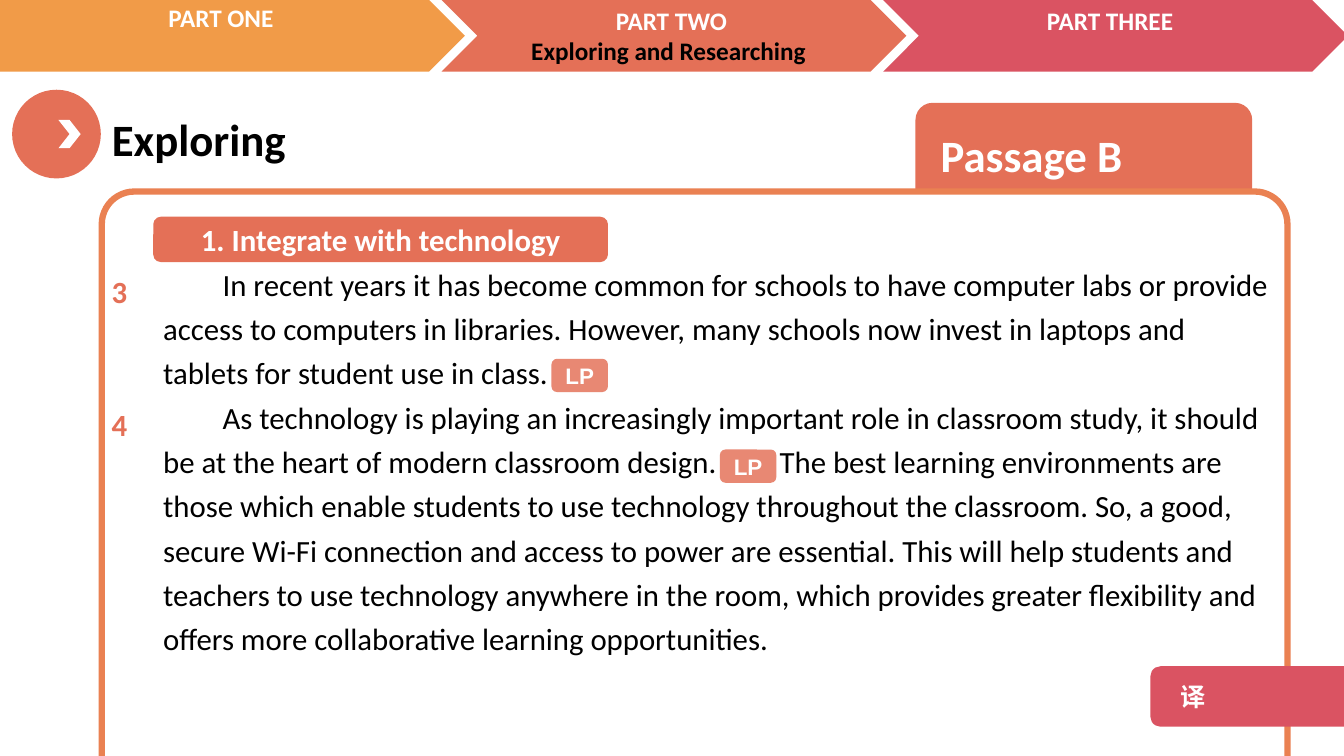
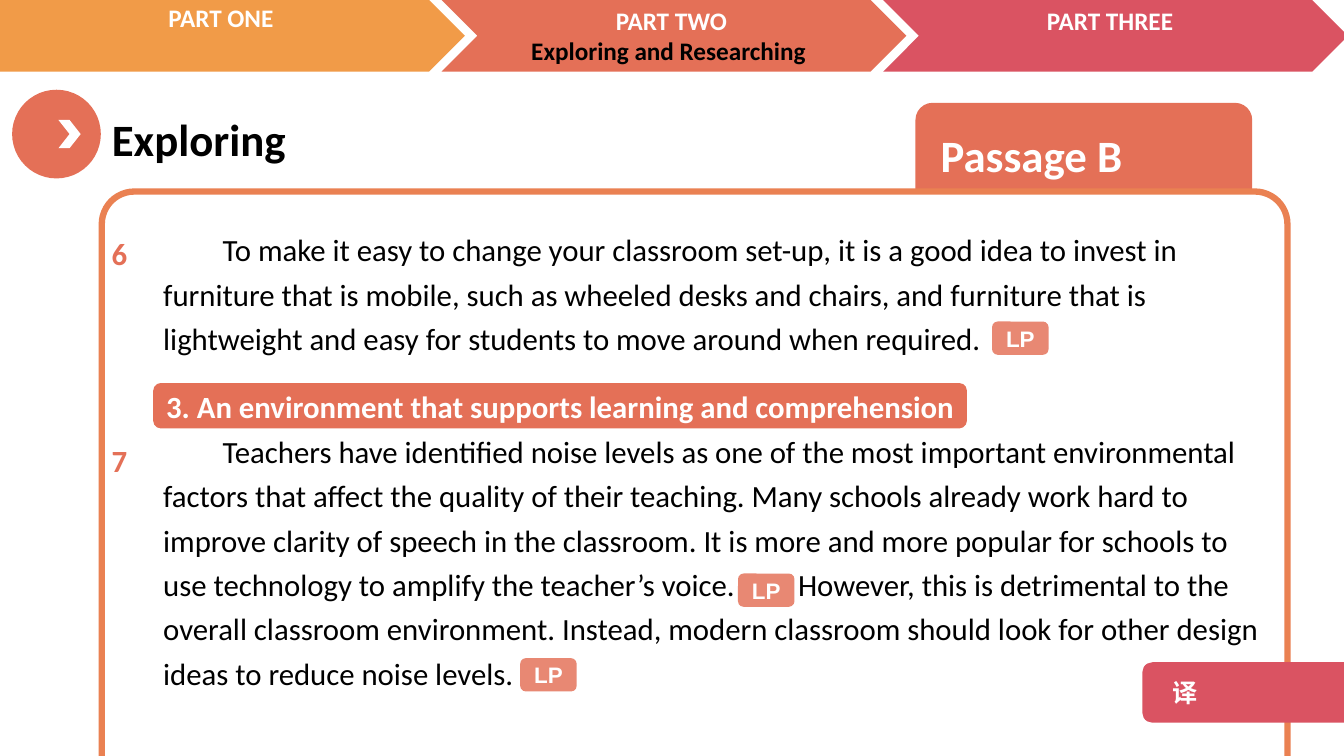
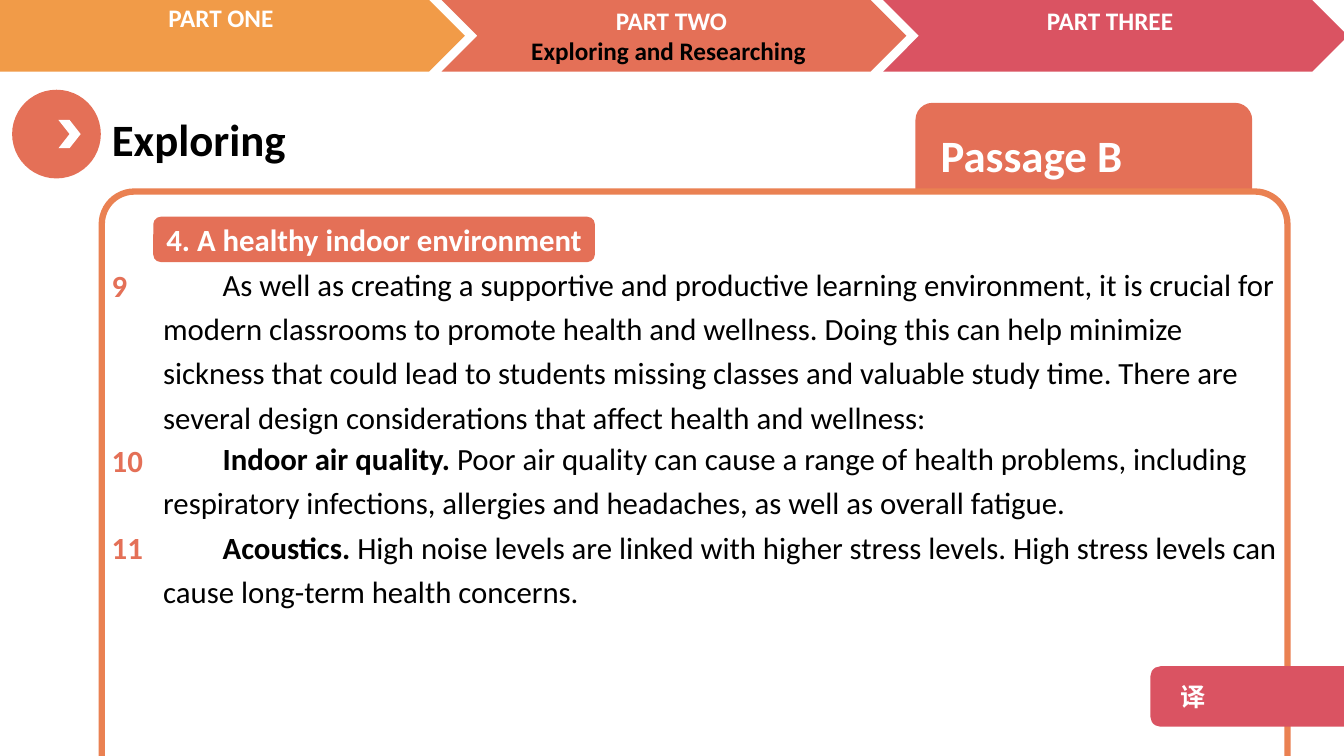
"""Build three reading slides for Passage B."""
from lxml import etree
from pptx import Presentation
from pptx.dml.color import RGBColor
from pptx.enum.shapes import MSO_SHAPE as SHAPE
from pptx.enum.text import MSO_ANCHOR as ANCHOR, PP_ALIGN as ALIGN
from pptx.oxml.ns import qn
from pptx.util import Inches, Pt

WHITE = RGBColor(0xFF, 0xFF, 0xFF)
BLACK = RGBColor(0, 0, 0)
CORAL = RGBColor(0xE4, 0x70, 0x57)
ROSE = RGBColor(0xDA, 0x53, 0x62)
AMBER = RGBColor(0xF1, 0x9B, 0x48)
ORANGE = RGBColor(0xEA, 0x81, 0x52)
LATIN, BADGE_FONT, CJK = "Calibri", "Arial", "Noto Sans CJK SC"

BANDS = [
    (4.38, 4.61, CORAL),
    (8.76, 4.61, ROSE),
    (-0.61, 5.22, AMBER),
]
PARTS = [
    (-0.06, -0.03, ["PART ONE "]),
    (4.38, 0, ["PART TWO", "Exploring and Researching "]),
    (8.73, 0, ["PART THREE"]),
]
TEXT_LEFT, NUMBER_LEFT = 1.52, 1.01
BADGE_GAP = " "

SLIDES = [
    {
        "passages": [(2.51, 11.25, 4.15, [
            [("In recent years it has become common for schools to have computer labs or provide access to "
              "computers in libraries. However, many schools now invest in laptops and tablets for student "
              "use in class.", False)],
            [("As technology is playing an increasingly important role in classroom study, it should be at "
              "the heart of modern classroom design.", False),
             (BADGE_GAP, False),
             ("The best learning environments are those which enable students to use technology throughout "
              "the classroom. So, a good, secure Wi-Fi connection and access to power are essential. This "
              "will help students and teachers to use technology anywhere in the room, which provides "
              "greater flexibility and offers more collaborative learning opportunities.", False)],
        ])],
        "numbers": [("3", 2.58), ("4", 3.9)],
        "heading": ("1. Integrate with technology", 2.15, 4.51),
        "language_points": [(5.47, 3.56), (7.14, 4.46)],
        "translate": (11.41, 6.61),
    },
    {
        "passages": [
            (2.17, 10.71, 1.49, [
                [("To make it easy to change your classroom set-up, it is a good idea to invest in furniture "
                  "that is mobile, such as wheeled desks and chairs, and furniture that is lightweight and "
                  "easy for students to move around when required.", False)],
            ]),
            (4.17, 11.25, 2.82, [
                [("Teachers have identified noise levels as one of the most important environmental factors "
                  "that affect the quality of their teaching. Many schools already work hard to improve "
                  "clarity of speech in the classroom. It is more and more popular for schools to use "
                  "technology to amplify the teacher’s voice.", False),
                 (BADGE_GAP, False),
                 ("However, this is detrimental to the overall classroom environment. Instead, modern "
                  "classroom should look for other design ideas to reduce noise levels.", False)],
            ]),
        ],
        "numbers": [("6", 2.21), ("7", 4.26)],
        "heading": ("3. An environment that supports learning and comprehension", 3.8, 8.07),
        "language_points": [(9.84, 3.19), (7.32, 5.69), (5.16, 6.53)],
        "translate": (11.33, 6.57),
    },
    {
        "passages": [
            (2.51, 11.25, 1.93, [
                [("As well as creating a supportive and productive learning environment, it is crucial for "
                  "modern classrooms to promote health and wellness. Doing this can help minimize sickness "
                  "that could lead to students missing classes and valuable study time. There are several "
                  "design considerations that affect health and wellness:", False)],
            ]),
            (4.24, 11.25, 1.95, [
                [("Indoor air quality.", True),
                 (" Poor air quality can cause a range of health problems, including respiratory "
                  "infections, allergies and headaches, as well as overall fatigue.", False)],
                [("Acoustics.", True),
                 (" High noise levels are linked with higher stress levels. High stress levels can cause "
                  "long-term health concerns.", False)],
            ]),
        ],
        "numbers": [("9", 2.52), ("10", 4.26), ("11", 5.12)],
        "heading": ("4. A healthy indoor environment", 2.15, 4.38),
        "language_points": [],
        "translate": (11.41, 6.61),
    },
]


def style(r, size, color, bold=True, font=LATIN):
    r.font.size, r.font.bold, r.font.name = Pt(size), bold, font
    r.font.color.rgb = color
    if font == CJK:
        etree.SubElement(r.font._element, qn("a:ea"), typeface=font)


def add_box(slide, kind, left, top, width, height, fill, text="", size=22, font=LATIN,
            align=ALIGN.CENTER, margin=0):
    sp = slide.shapes.add_shape(kind, Inches(left), Inches(top), Inches(width), Inches(height))
    sp.shadow.inherit = False
    sp.fill.solid()
    sp.fill.fore_color.rgb = fill
    sp.line.fill.background()
    if text:
        tf = sp.text_frame
        tf.margin_left, tf.margin_right = Inches(margin), 0
        tf.vertical_anchor = ANCHOR.MIDDLE
        p = tf.paragraphs[0]
        p.text, p.alignment = text, align
        style(p.runs[0], size, WHITE, font=font)
    return sp


def add_text(slide, left, top, width, height, wrap=True):
    sp = slide.shapes.add_textbox(Inches(left), Inches(top), Inches(width), Inches(height))
    sp.text_frame.word_wrap = wrap
    return sp.text_frame


def add_frame(slide):
    for left, width, color in BANDS:
        add_box(slide, SHAPE.CHEVRON, left, 0, width, 0.71, color)
    add_box(slide, SHAPE.OVAL, 0.12, 0.89, 0.88, 0.88, CORAL)
    add_box(slide, SHAPE.CHEVRON, 0.58, 1.19, 0.22, 0.28, WHITE)

    title = slide.shapes.title
    title.left, title.top, title.width, title.height = map(Inches, (1.01, 1.06, 4.85, 0.64))
    title.text_frame.text = "Exploring"
    title.text_frame.vertical_anchor = ANCHOR.TOP
    p = title.text_frame.paragraphs[0]
    p.alignment = ALIGN.LEFT
    style(p.runs[0], 32, BLACK)

    for left, top, lines in PARTS:
        tf = add_text(slide, left, top, 4.56, 0.4 if len(lines) == 1 else 0.71)
        tf.text = "\n".join(lines)
        for p, color in zip(tf.paragraphs, (WHITE, BLACK)):
            p.alignment = ALIGN.CENTER
            style(p.runs[0], 18, color)

    add_box(slide, SHAPE.ROUNDED_RECTANGLE, 9.08, 1.02, 3.34, 1.02, CORAL, "Passage B", 32,
            align=ALIGN.LEFT, margin=0.2)
    panel = add_box(slide, SHAPE.ROUNDED_RECTANGLE, 1.01, 1.9, 11.76, 6.45, WHITE)
    panel.adjustments[0] = 0.05
    panel.line.color.rgb, panel.line.width = ORANGE, Pt(4.5)


def add_passage(slide, top, width, height, paragraphs):
    tf = add_text(slide, TEXT_LEFT, top, width, height)
    for i, runs in enumerate(paragraphs):
        p = tf.add_paragraph() if i else tf.paragraphs[0]
        p.line_spacing = 1.2
        pPr = p._p.get_or_add_pPr()
        pPr.set("marL", "0")
        pPr.set("indent", str(Inches(0.59)))
        for text, bold in runs:
            r = p.add_run()
            r.text = text
            style(r, 22, BLACK, bold)
            if text == BADGE_GAP:
                r.font._element.set("spc", "4000")


def add_number(slide, number, top):
    tf = add_text(slide, NUMBER_LEFT, top, 0.51, 0.47, wrap=False)
    tf.text = number
    p = tf.paragraphs[0]
    p.line_spacing = 1.2
    style(p.runs[0], 22, CORAL)


def add_language_point(slide, left, top):
    sp = add_box(slide, SHAPE.ROUNDED_RECTANGLE, left, top, 0.56, 0.33, CORAL, "LP", 16, BADGE_FONT)
    color = sp._element.spPr.find(qn("a:solidFill")).find(qn("a:srgbClr"))
    etree.SubElement(color, qn("a:alpha"), val="83000")


def main():
    prs = Presentation()
    prs.slide_width, prs.slide_height = Inches(13.33), Inches(7.5)
    for content in SLIDES:
        slide = prs.slides.add_slide(prs.slide_layouts[5])
        add_frame(slide)
        for passage in content["passages"]:
            add_passage(slide, *passage)
        for number, top in content["numbers"]:
            add_number(slide, number, top)
        left, top = content["translate"]
        add_box(slide, SHAPE.ROUNDED_RECTANGLE, left, top, 2.13, 0.6, ROSE, "译", 18, CJK,
                ALIGN.LEFT, 0.27)
        text, top, width = content["heading"]
        add_box(slide, SHAPE.ROUNDED_RECTANGLE, TEXT_LEFT, top, width, 0.45, CORAL, text)
        for left, top in content["language_points"]:
            add_language_point(slide, left, top)
    prs.save("out.pptx")


if __name__ == "__main__":
    main()
